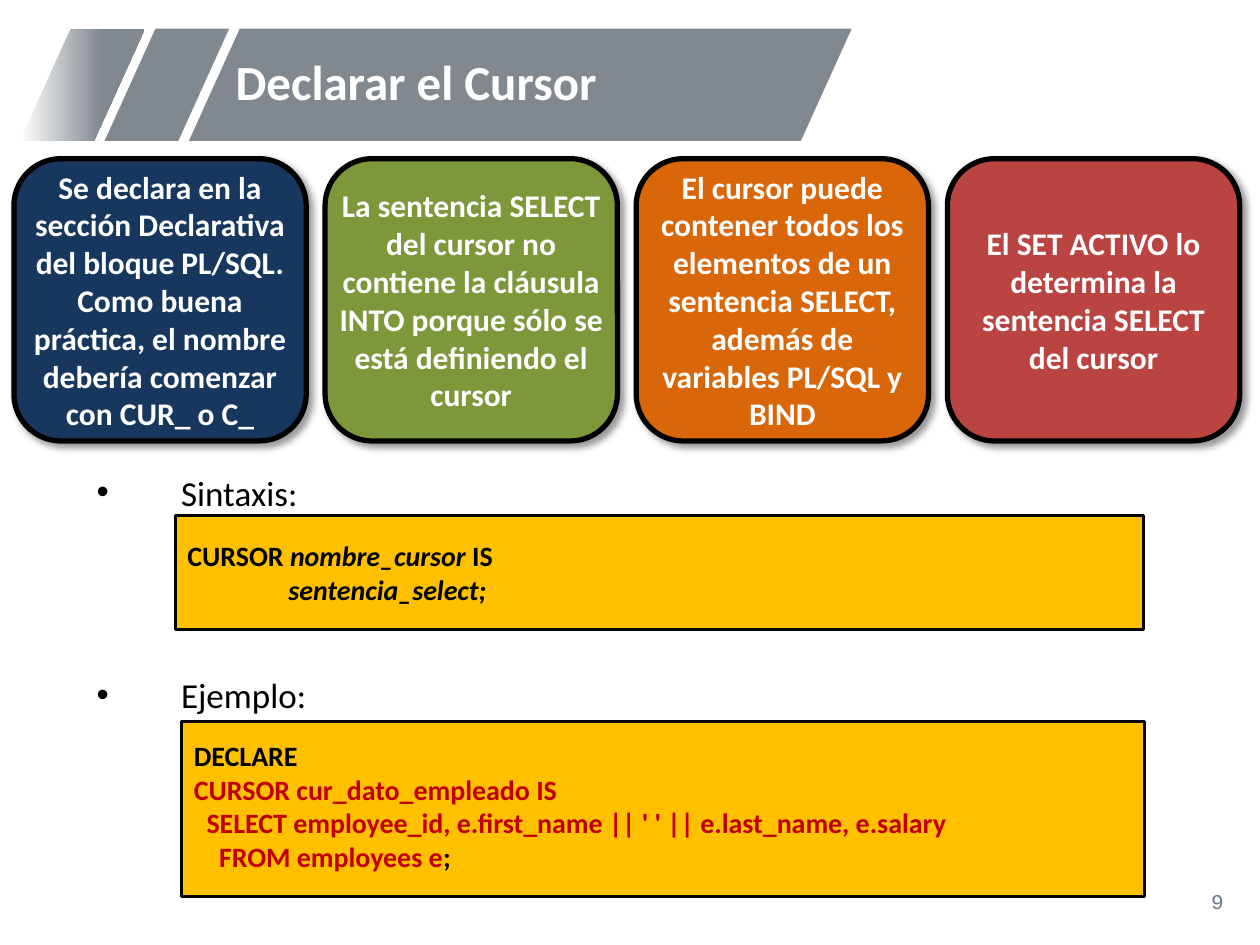
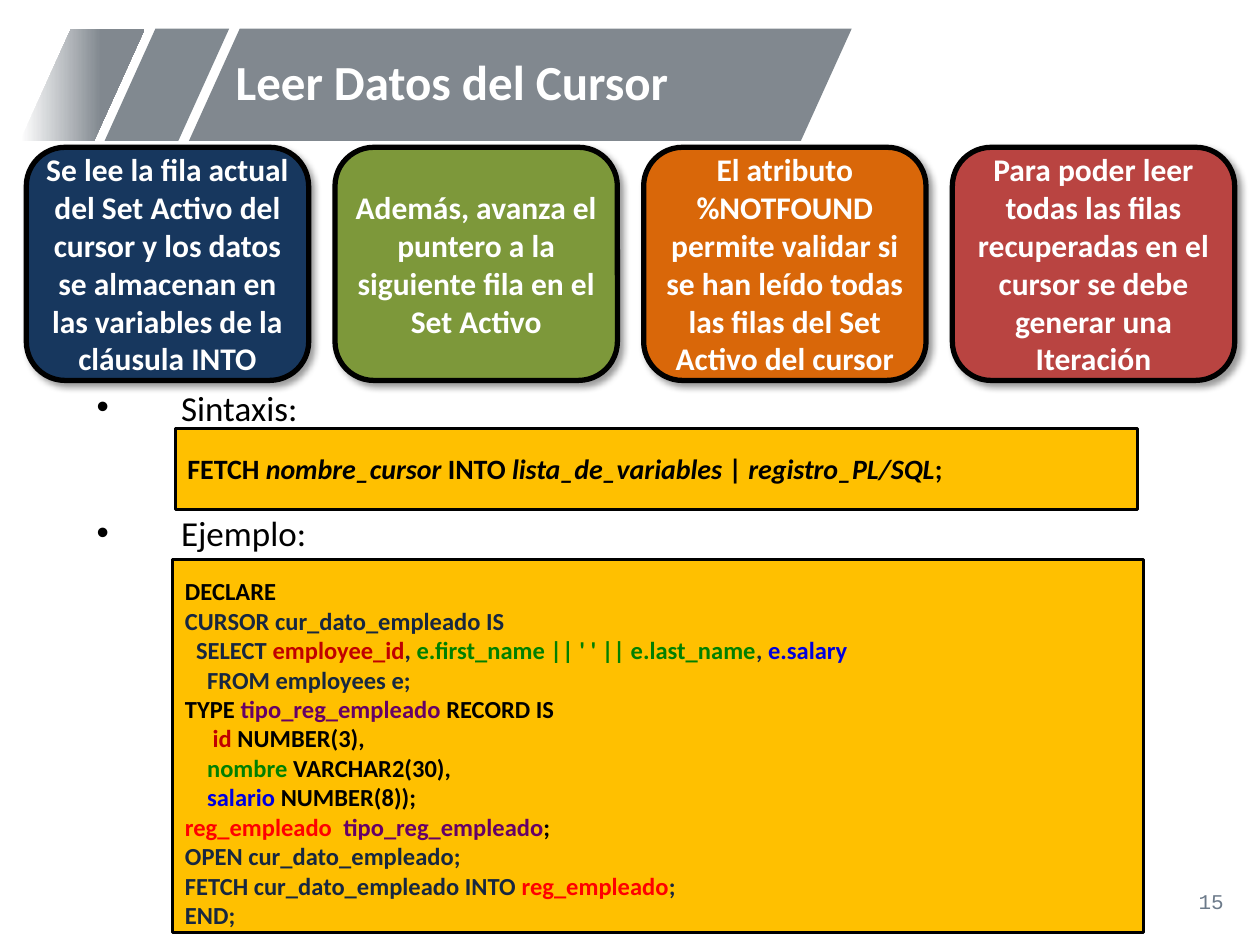
from dataclasses import dataclass

import lxml.etree
import pptx
import pptx.dml.color
import pptx.enum.shapes
import pptx.enum.text
import pptx.oxml.ns
import pptx.util

Cm = pptx.util.Cm
Pt = pptx.util.Pt
Shapes = pptx.enum.shapes.MSO_SHAPE
Align = pptx.enum.text.PP_ALIGN
Anchor = pptx.enum.text.MSO_ANCHOR


@dataclass(frozen=True)
class Theme:
    font: str = "Calibri"
    number_font: str = "Courier New"
    title_size: int = 28
    label_size: int = 20
    card_size: int = 18
    number_size: int = 12
    white: str = "FFFFFF"
    black: str = "000000"
    band: str = "81888F"
    band_middle: str = "818990"
    number: str = "6C7A8A"
    code_fill: str = "FFC000"
    cards: tuple = ("17375E", "7D983A", "D96709", "B94441")
    card_line: float = 3
    code_line: float = 1.75


THEME = Theme()

CODE_COLORS = {
    "plain": THEME.black,
    "italic": THEME.black,
    "query": "172740",
    "red": "C00000",
    "green": "008000",
    "blue": "0000DE",
    "type": "660066",
    "record": "FF0000",
}


@dataclass(frozen=True)
class Box:
    left: float
    top: float
    width: float
    height: float

    def lengths(self):
        return Cm(self.left), Cm(self.top), Cm(self.width), Cm(self.height)


def color(value):
    return pptx.dml.color.RGBColor.from_string(value)


def add_element(parent, tag, **attributes):
    return lxml.etree.SubElement(parent, pptx.oxml.ns.qn(tag), attributes)


def style_font(font, size, value, bold=False, name=THEME.font):
    font.name = name
    font.size = Pt(size)
    font.bold = bold
    font.color.rgb = color(value)


def set_frame(shape, anchor, left=0.25, top=0.13, right=0.25, bottom=0.13):
    frame = shape.text_frame
    frame.word_wrap = True
    frame.vertical_anchor = anchor
    frame.margin_left, frame.margin_right = Cm(left), Cm(right)
    frame.margin_top, frame.margin_bottom = Cm(top), Cm(bottom)
    return frame


def add_filled_shape(slide, kind, box, fill, line_width=0):
    shape = slide.shapes.add_shape(kind, *box.lengths())
    shape.shadow.inherit = False
    shape.fill.solid()
    shape.fill.fore_color.rgb = color(fill)
    if line_width:
        shape.line.color.rgb = color(THEME.black)
        shape.line.width = Pt(line_width)
    else:
        shape.line.fill.background()
    return shape


def add_text_box(slide, box, anchor=Anchor.MIDDLE):
    return set_frame(slide.shapes.add_textbox(*box.lengths()), anchor)


def add_title_band(slide, box, title):
    small_width, step = 2.51, 1.7
    wide_left = box.left + 2 * step
    pieces = (
        (wide_left, box.left + box.width - wide_left, THEME.band),
        (box.left + step, small_width, THEME.band_middle),
        (box.left, small_width, THEME.band),
    )
    for left, width, fill in pieces:
        piece = add_filled_shape(
            slide, Shapes.PARALLELOGRAM, Box(left, box.top, width, box.height), fill
        )
        piece.adjustments[0] = 0.453
    piece.fill.gradient()
    piece.fill.gradient_angle = 0
    stops = piece.fill.gradient_stops
    for stop, position, value in zip(stops, (0, 0.65), (THEME.white, THEME.band)):
        stop.position = position
        stop.color.rgb = color(value)

    title_box = Box(box.left + 4.09, box.top, 11.91, box.height)
    paragraph = add_text_box(slide, title_box).paragraphs[0]
    paragraph.text = title
    paragraph.line_spacing = 0.9
    style_font(paragraph.font, THEME.title_size, THEME.white, bold=True)


def add_page_number(slide, box, number):
    paragraph = add_text_box(slide, box).paragraphs[0]
    paragraph.text = str(number)
    paragraph.alignment = Align.RIGHT
    style_font(paragraph.font, THEME.number_size, THEME.number, name=THEME.number_font)


def add_card_shadow(card):
    effects = card._element.spPr.find(pptx.oxml.ns.qn("a:effectLst"))
    shadow = add_element(
        effects, "a:outerShdw", blurRad=str(Pt(4)), dist=str(Pt(3)),
        dir="2700000", algn="tl", rotWithShape="0",
    )
    shade = add_element(shadow, "a:srgbClr", val=THEME.black)
    add_element(shade, "a:alpha", val="40000")


def add_cards(slide, box, gap, texts):
    width = (box.width - gap * (len(texts) - 1)) / len(texts)
    for index, (text, fill) in enumerate(zip(texts, THEME.cards)):
        card_box = Box(box.left + index * (width + gap), box.top, width, box.height)
        card = add_filled_shape(
            slide, Shapes.ROUNDED_RECTANGLE, card_box, fill, THEME.card_line
        )
        add_card_shadow(card)
        paragraph = set_frame(card, Anchor.MIDDLE, 0, 0, 0, 0).paragraphs[0]
        paragraph.text = text
        paragraph.alignment = Align.CENTER
        style_font(paragraph.font, THEME.card_size, THEME.white, bold=True)


def add_labels(slide, box, gap):
    frame = add_text_box(slide, box, Anchor.TOP)
    for index, label in enumerate(("Sintaxis:", "Ejemplo:")):
        paragraph = frame.add_paragraph() if index else frame.paragraphs[0]
        paragraph.text = label
        properties = paragraph._p.get_or_add_pPr()
        properties.set("marL", str(Cm(1.7)))
        properties.set("indent", str(-Cm(1.7)))
        add_element(properties, "a:buFont", typeface="Arial")
        add_element(properties, "a:buChar", char="•")
        paragraph.line_spacing = 0.8
        if index:
            paragraph.space_before = Pt(gap)
        style_font(paragraph.font, THEME.label_size, THEME.black)


def add_code(slide, box, lines, size, top_inset):
    shape = add_filled_shape(slide, Shapes.RECTANGLE, box, THEME.code_fill, THEME.code_line)
    frame = set_frame(shape, Anchor.TOP, top=top_inset, bottom=0)
    for index, line in enumerate(lines):
        paragraph = frame.add_paragraph() if index else frame.paragraphs[0]
        paragraph.alignment = Align.LEFT
        main_color = CODE_COLORS[line[0][0]]
        style_font(paragraph.font, size, main_color, bold=True)
        for style, text in line:
            run = paragraph.add_run()
            run.text = text
            if CODE_COLORS[style] != main_color:
                run.font.color.rgb = color(CODE_COLORS[style])
            if style == "italic":
                run.font.italic = True


def add_cursor_slide(presentation, content):
    slide = presentation.slides.add_slide(presentation.slide_layouts[6])
    add_title_band(slide, Box(0.41, 0.58, 16.76, 2.26), content["title"])
    add_page_number(slide, Box(19.2, 17.65, 5.72, 1.02), content["number"])
    add_cards(slide, content["cards_box"], content["cards_gap"], content["cards"])
    add_labels(slide, content["labels_box"], content["labels_gap"])
    add_code(slide, content["syntax_box"], content["syntax"], 16, 0.47)
    add_code(slide, content["example_box"], content["example"], content["example_size"], 0.34)


DECLARE_CURSOR = {
    "title": "Declarar el Cursor",
    "number": 9,
    "cards_box": Box(0.28, 3.2, 24.71, 5.69),
    "cards_gap": 0.38,
    "cards": (
        "Se declara en la sección Declarativa del bloque PL/SQL. Como buena práctica, "
        "el nombre debería comenzar con CUR_ o C_",
        "La sentencia SELECT del cursor no contiene la cláusula INTO porque sólo se "
        "está definiendo el cursor",
        "El cursor puede contener todos los elementos de un sentencia SELECT, además "
        "de variables PL/SQL y BIND",
        "El SET ACTIVO lo determina la sentencia SELECT del cursor",
    ),
    "labels_box": Box(1.7, 9.53, 21.79, 5),
    "labels_gap": 96.5,
    "syntax_box": Box(3.53, 10.39, 19.53, 2.31),
    "syntax": (
        (("plain", "CURSOR "), ("italic", "nombre_cursor "), ("plain", "IS")),
        (("italic", "                sentencia_select;"),),
    ),
    "example_box": Box(3.66, 14.55, 19.41, 3.53),
    "example_size": 16,
    "example": (
        (("plain", "DECLARE"),),
        (("red", "CURSOR cur_dato_empleado IS"),),
        (("red", "  SELECT employee_id, e.first_name || ' ' || e.last_name, e.salary"),),
        (("red", "    FROM employees e"), ("plain", ";")),
    ),
}

FETCH_CURSOR = {
    "title": "Leer Datos del Cursor",
    "number": 15,
    "cards_box": Box(0.53, 2.97, 24.36, 4.7),
    "cards_gap": 0.53,
    "cards": (
        "Se lee la fila actual del Set Activo del cursor y los datos se almacenan en "
        "las variables de la cláusula INTO",
        "Además, avanza el puntero a la siguiente fila en el Set Activo",
        "El atributo %NOTFOUND permite validar si se han leído todas las filas del "
        "Set Activo del cursor",
        "Para poder leer todas las filas recuperadas en el cursor se debe generar una "
        "Iteración",
    ),
    "labels_box": Box(1.7, 7.82, 21.79, 3.46),
    "labels_gap": 52.5,
    "syntax_box": Box(3.53, 8.64, 19.41, 1.63),
    "syntax": (
        (
            ("plain", "FETCH "), ("italic", "nombre_cursor"), ("plain", " INTO "),
            ("italic", "lista_de_variables "), ("plain", "|"),
            ("italic", " registro_PL/SQL"), ("plain", ";"),
        ),
    ),
    "example_box": Box(3.48, 11.28, 19.58, 7.52),
    "example_size": 14,
    "example": (
        (("plain", "DECLARE"),),
        (("query", "CURSOR cur_dato_empleado IS"),),
        (
            ("query", "  SELECT "), ("red", "employee_id"), ("query", ", "),
            ("green", "e.first_name || ' ' || e.last_name"), ("query", ", "),
            ("blue", "e.salary"),
        ),
        (("query", "    FROM employees e;"),),
        (("plain", "TYPE "), ("type", "tipo_reg_empleado "), ("plain", "RECORD IS")),
        (("red", "     id"), ("plain", " NUMBER(3),")),
        (("green", "    nombre"), ("plain", " VARCHAR2(30),")),
        (("blue", "    salario"), ("plain", " NUMBER(8));")),
        (("record", "reg_empleado  "), ("type", "tipo_reg_empleado"), ("plain", ";")),
        (("query", "OPEN cur_dato_empleado;"),),
        (("query", "FETCH cur_dato_empleado INTO "), ("record", "reg_empleado"), ("query", ";")),
        (("query", "END;"),),
    ),
}


def main():
    presentation = pptx.Presentation()
    presentation.slide_width = Cm(25.4)
    presentation.slide_height = Cm(19.05)
    for content in (DECLARE_CURSOR, FETCH_CURSOR):
        add_cursor_slide(presentation, content)
    presentation.save("out.pptx")


if __name__ == "__main__":
    main()
